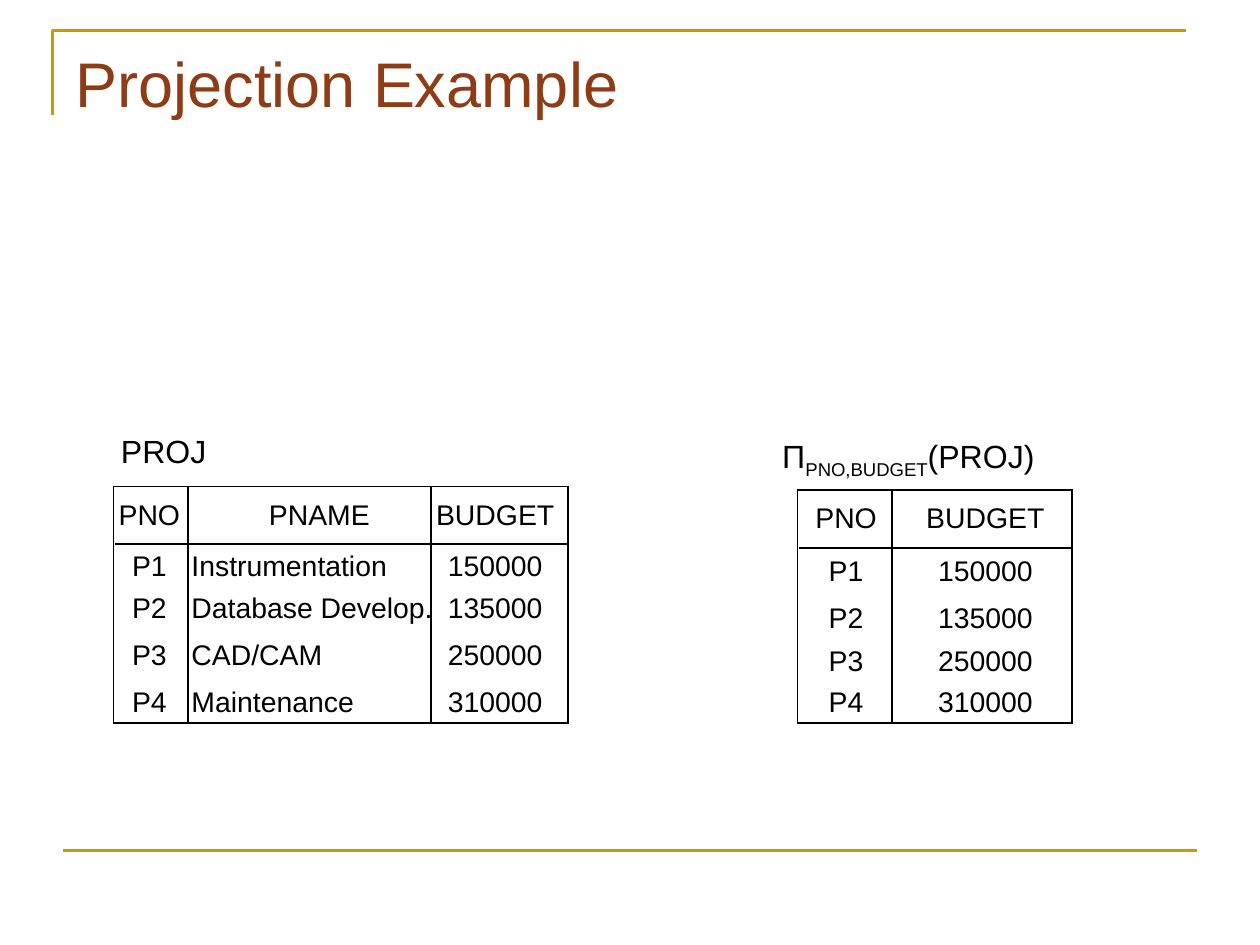
from itertools import accumulate
from lxml.etree import SubElement
from pptx import Presentation
from pptx.dml.color import RGBColor
from pptx.enum.shapes import MSO_CONNECTOR
from pptx.enum.text import MSO_ANCHOR as Anchor, MSO_AUTO_SIZE as AutoSize, PP_ALIGN as Align
from pptx.oxml.ns import qn
from pptx.util import Emu, Inches, Pt

GOLD = RGBColor(0xCC, 0x99, 0x00)
BROWN = RGBColor(0x8D, 0x3C, 0x15)
BLACK = RGBColor(0x00, 0x00, 0x00)
PLAIN_TABLE = "{2D5ABB26-0587-4C30-8999-92F81FD0307C}"
COLUMNS, ROWS = 100, 75


class SlideBuilder:
    """Draws styled elements on one slide, measured in grid columns and rows."""

    font_name = "Arial"
    label_size, cell_size = Pt(18.3), Pt(16.2)

    def __init__(self, presentation):
        self.column = presentation.slide_width / COLUMNS
        self.row = presentation.slide_height / ROWS
        self.slide = presentation.slides.add_slide(presentation.slide_layouts[5])

    def x(self, columns):
        return Emu(round(columns * self.column))

    def y(self, rows):
        return Emu(round(rows * self.row))

    def box(self, left, top, width, height):
        return self.x(left), self.y(top), self.x(width), self.y(height)

    def style(self, paragraph, size, color=BLACK, align=Align.LEFT):
        paragraph.alignment = align
        paragraph.font.name = self.font_name
        paragraph.font.size = size
        paragraph.font.color.rgb = color

    def title(self, text, *area):
        shape = self.slide.shapes.title
        shape.left, shape.top, shape.width, shape.height = self.box(*area)
        frame = shape.text_frame
        frame.text = text
        frame.vertical_anchor = Anchor.TOP
        frame.auto_size = AutoSize.NONE
        self.style(frame.paragraphs[0], Pt(36), BROWN)

    def corner(self, left, top, right, bottom):
        builder = self.slide.shapes.build_freeform(self.x(left), self.y(bottom))
        points = [(self.x(left), self.y(top)), (self.x(right), self.y(top))]
        builder.add_line_segments(points, close=False)
        shape = builder.convert_to_shape()
        shape.shadow.inherit = False
        shape.fill.background()
        shape.line.color.rgb = GOLD
        shape.line.width = Pt(1.5)

    def rule(self, left, top, right, bottom, color=BLACK, width=1):
        line = self.slide.shapes.add_connector(
            MSO_CONNECTOR.STRAIGHT, self.x(left), self.y(top), self.x(right), self.y(bottom))
        line.line.color.rgb = color
        line.line.width = Pt(width)
        SubElement(line._element.spPr, qn("a:effectLst"))

    def label(self, parts, area, inset):
        frame = self.slide.shapes.add_textbox(*self.box(*area)).text_frame
        frame.word_wrap = True
        frame.margin_left = frame.margin_right = Inches(inset)
        frame.margin_top = frame.margin_bottom = Inches(inset / 2)
        paragraph = frame.paragraphs[0]
        for text, baseline in parts:
            run = paragraph.add_run()
            run.text = text
            if baseline:
                run._r.get_or_add_rPr().set("baseline", str(baseline))
        self.style(paragraph, self.label_size)

    def border(self, cell, sides):
        properties = cell._tc.get_or_add_tcPr()
        for side in ("L", "R", "T", "B"):
            line = SubElement(properties, qn(f"a:ln{side}"), w=str(Pt(1)))
            if side in sides:
                fill = SubElement(line, qn("a:solidFill"))
                SubElement(fill, qn("a:srgbClr"), val=str(BLACK))
            else:
                SubElement(line, qn("a:noFill"))

    def table(self, left, top, widths, heights, paddings, records, dividers):
        area = self.box(left, top, sum(widths), sum(heights))
        table = self.slide.shapes.add_table(len(heights), len(widths), *area).table
        table.first_row = table.horz_banding = False
        table._tbl.tblPr.find(qn("a:tableStyleId")).text = PLAIN_TABLE
        for column, width in zip(table.columns, widths):
            column.width = self.x(width)
        for row, height in zip(table.rows, heights):
            row.height = self.y(height)
        last_row, last_column = len(heights) - 1, len(widths) - 1
        for i, record in enumerate(records):
            for j, text in enumerate(record):
                is_name = i > 0 and records[0][j] == "PNAME"
                cell = table.cell(i, j)
                cell.text = text
                cell.vertical_anchor = Anchor.MIDDLE
                before, after = (0.03, 0) if is_name else paddings[j]
                cell.margin_left, cell.margin_right = Inches(before), Inches(after)
                cell.margin_top = cell.margin_bottom = 0
                edges = {"T": i == 0, "B": i == last_row, "L": j == 0, "R": j == last_column}
                self.border(cell, [side for side, outer in edges.items() if outer])
                cell.fill.background()
                align = Align.LEFT if is_name else Align.CENTER
                self.style(cell.text_frame.paragraphs[0], self.cell_size, align=align)
        bottom = list(accumulate(heights, initial=top))[-1]
        for divider in dividers:
            self.rule(divider, top, divider, bottom)
        header_bottom = top + heights[0]
        self.rule(left + 0.1, header_bottom, left + sum(widths) - 0.1, header_bottom)


def main():
    presentation = Presentation()
    presentation.slide_width, presentation.slide_height = Inches(10), Inches(7.5)
    projects = [
        ("PNO", "PNAME", "BUDGET"),
        ("P1", "Instrumentation", "150000"),
        ("P2", "Database Develop.", "135000"),
        ("P3", "CAD/CAM", "250000"),
        ("P4", "Maintenance", "310000"),
    ]
    projection = [(number, budget) for number, _, budget in projects]

    builder = SlideBuilder(presentation)
    builder.corner(4.15, 2.45, 94.15, 9.15)
    builder.rule(5, 67.5, 95, 67.5, GOLD, 1.5)
    builder.title("Projection Example", 5, 3, 90, 12.5)
    builder.label([("Π", 0), ("PNO,BUDGET", -25000), ("(PROJ)", 0)],
                  (61.1, 34.15, 24.5, 4.1), 0.1)
    builder.table(63.3, 38.9, (7.5, 14.3), (4.6, 3.8, 3.6, 3.3, 3.2),
                  [(0.02, 0), (0.05, 0)], projection, [70.8])
    builder.label([("PROJ", 0)], (8.9, 33.9, 8.3, 3.8), 0.07)
    builder.table(9, 38.6, (5.9, 19.6, 10.6), (4.6, 3.6, 3.1, 4.3, 3.2),
                  [(0, 0.02), (0.13, 0), (0, 0.1)], projects, [14.9, 34.2])
    presentation.save("out.pptx")


if __name__ == "__main__":
    main()
